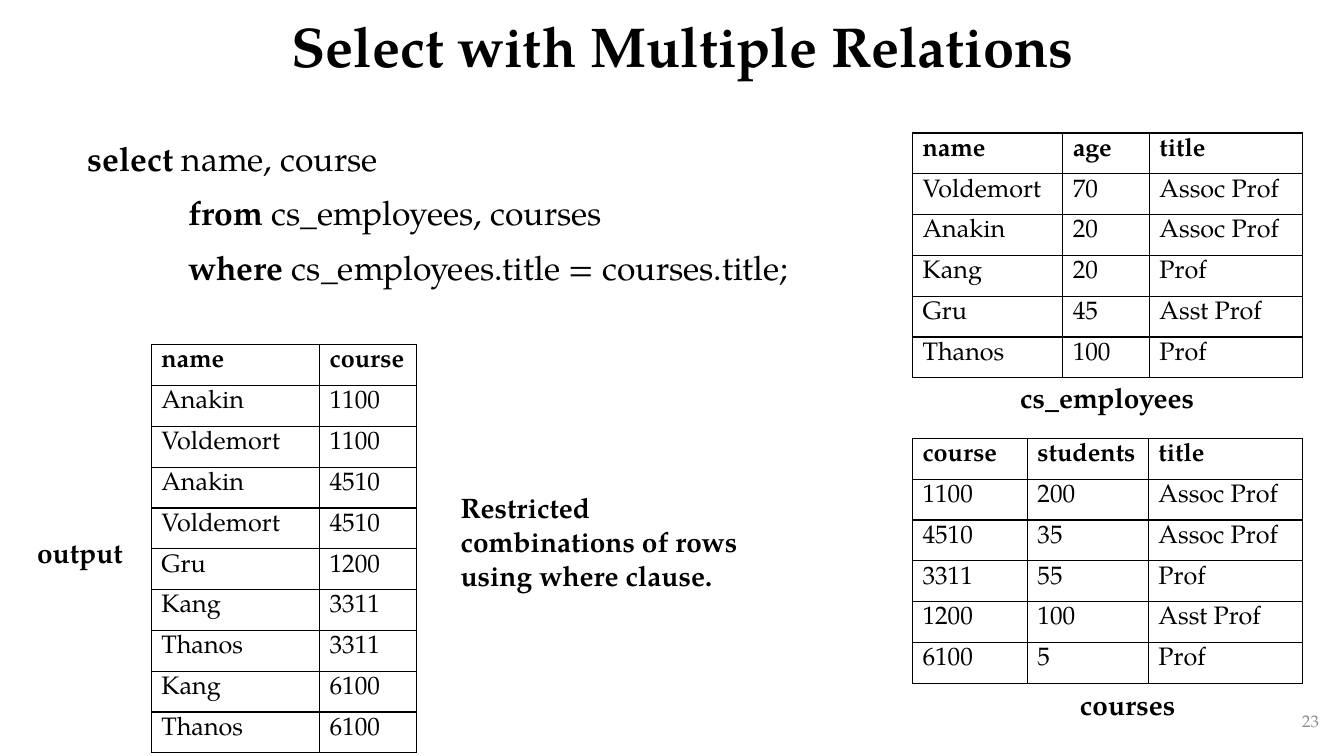
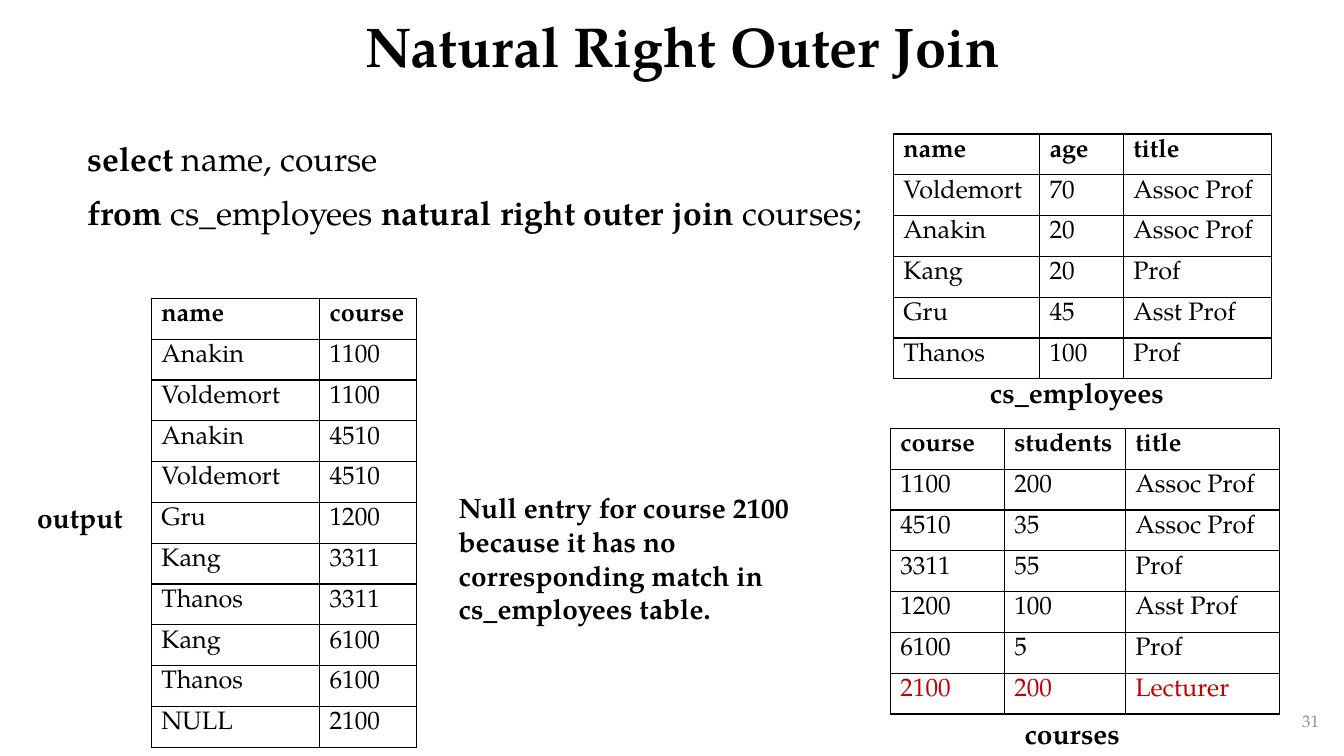
import pptx
import pptx.dml.color
import pptx.enum.text
import pptx.oxml
import pptx.oxml.ns
import pptx.util

Inches = pptx.util.Inches
Pt = pptx.util.Pt
ALIGN = pptx.enum.text.PP_ALIGN
ANCHOR = pptx.enum.text.MSO_ANCHOR

FONT = "TeX Gyre Pagella"
BLACK = pptx.dml.color.RGBColor(0x00, 0x00, 0x00)
GRAY = pptx.dml.color.RGBColor(0x8C, 0x8C, 0x8C)
RED = pptx.dml.color.RGBColor(0xC0, 0x00, 0x00)
ROW_HEIGHT = Inches(2.43) // 6
LABEL_HEIGHT = 0.44

EMPLOYEES = [
    ("name", "age", "title"),
    ("Voldemort", "70", "Assoc Prof"),
    ("Anakin", "20", "Assoc Prof"),
    ("Kang", "20", "Prof"),
    ("Gru", "45", "Asst Prof"),
    ("Thanos", "100", "Prof"),
]
COURSES = [
    ("course", "students", "title"),
    ("1100", "200", "Assoc Prof"),
    ("4510", "35", "Assoc Prof"),
    ("3311", "55", "Prof"),
    ("1200", "100", "Asst Prof"),
    ("6100", "5", "Prof"),
]
UNMATCHED_COURSE = ("2100", "200", "Lecturer")
OUTPUT = [
    ("name", "course"),
    ("Anakin", "1100"),
    ("Voldemort", "1100"),
    ("Anakin", "4510"),
    ("Voldemort", "4510"),
    ("Gru", "1200"),
    ("Kang", "3311"),
    ("Thanos", "3311"),
    ("Kang", "6100"),
    ("Thanos", "6100"),
]

# Query lines: (indent, [(text, bold), ...])
SELECT_LINE = (0, [("select", True), (" name, course", False)])

# Tables: (left, top, column widths, rows); labels: (left, top, width, text, alignment)
SLIDES = [
    {
        "title": "Select with Multiple Relations",
        "number": "23",
        "query": [
            SELECT_LINE,
            (1, [("from ", True), ("cs_employees, courses", False)]),
            (1, [("where ", True), ("cs_employees.title = courses.title;", False)]),
        ],
        "query_width": 10.11,
        "tables": [
            (9.05, 1.32, (1.49, 0.86, 1.52), EMPLOYEES),
            (9.05, 4.35, (1.14, 1.2, 1.53), COURSES),
            (1.5, 3.42, (1.67, 0.96), OUTPUT),
        ],
        "labels": [
            (10.02, 3.73, 2.01, "cs_employees", ALIGN.LEFT),
            (10.18, 6.77, 2.01, "courses", ALIGN.CENTER),
            (0.27, 5.26, 1.21, "output", ALIGN.LEFT),
            (4.47, 4.82, 3.27, "Restricted combinations of rows using where clause.", ALIGN.LEFT),
        ],
    },
    {
        "title": "Natural Right Outer Join",
        "number": "31",
        "query": [
            SELECT_LINE,
            (0, [("from ", True), ("cs_employees ", False),
                 ("natural right outer join", True), (" courses;", False)]),
        ],
        "query_width": 12.25,
        "tables": [
            (8.86, 1.33, (1.45, 0.83, 1.47), EMPLOYEES),
            (8.83, 4.25, (1.13, 1.2, 1.53), COURSES + [UNMATCHED_COURSE]),
            (1.5, 2.96, (1.67, 0.96), OUTPUT + [("NULL", "2100")]),
        ],
        "labels": [
            (9.72, 3.68, 2.01, "cs_employees", ALIGN.LEFT),
            (9.63, 7.06, 2.01, "courses", ALIGN.CENTER),
            (0.27, 4.92, 1.21, "output", ALIGN.LEFT),
            (4.45, 4.82, 3.88, "Null entry for course 2100 because it has no "
             "corresponding match in cs_employees table.", ALIGN.LEFT),
        ],
    },
]


def style(font, size, bold=None, color=BLACK):
    font.name = FONT
    font.size = Pt(size)
    font.bold = bold
    font.color.rgb = color


def add_frame(page, left, top, width, height, anchor=ANCHOR.TOP):
    box = page.shapes.add_textbox(Inches(left), Inches(top), Inches(width), Inches(height))
    box.text_frame.word_wrap = True
    box.text_frame.vertical_anchor = anchor
    return box.text_frame


def add_text(page, place, text, size, bold=True, color=BLACK,
             alignment=ALIGN.LEFT, anchor=ANCHOR.TOP):
    para = add_frame(page, *place, anchor).paragraphs[0]
    para.text = text
    para.alignment = alignment
    style(para.font, size, bold, color)
    return para


def add_query(page, lines, width):
    frame = add_frame(page, 0.77, 1.32, width, 5.58)
    for index, (indent, spans) in enumerate(lines):
        para = frame.add_paragraph() if index else frame.paragraphs[0]
        para.alignment = ALIGN.JUSTIFY
        para.space_before = Pt(10 if index else 0)
        if indent:
            properties = para._p.get_or_add_pPr()
            properties.set("marL", str(Inches(indent)))
            properties.set("indent", "0")
        style(para.font, 24)
        for text, bold in spans:
            span = para.add_run()
            span.text = text
            span.font.bold = bold


def add_borders(cell):
    namespace = pptx.oxml.ns.nsdecls("a")
    properties = cell._tc.get_or_add_tcPr()
    for side in ("lnL", "lnR", "lnT", "lnB"):
        properties.append(pptx.oxml.parse_xml(
            f'<a:{side} {namespace} w="{Pt(1)}"><a:solidFill>'
            f'<a:srgbClr val="{BLACK}"/></a:solidFill></a:{side}>'))


def add_relation(page, left, top, widths, rows):
    """Draw a bordered table with a bold header; the unmatched course is red."""
    table = page.shapes.add_table(
        len(rows), len(widths), Inches(left), Inches(top),
        Inches(sum(widths)), ROW_HEIGHT * len(rows)).table
    table.first_row = table.horz_banding = False
    for column, width in zip(table.columns, widths):
        column.width = Inches(width)
    for row_index, values in enumerate(rows):
        table.rows[row_index].height = ROW_HEIGHT
        color = RED if values == UNMATCHED_COURSE else BLACK
        for column_index, value in enumerate(values):
            cell = table.cell(row_index, column_index)
            add_borders(cell)
            cell.fill.background()
            cell.text = value
            style(cell.text_frame.paragraphs[0].font, 18, row_index == 0, color)


def add_page(deck, content):
    page = deck.slides.add_slide(deck.slide_layouts[6])
    title = add_text(page, (1.02, 0, 11.5, 0.98), content["title"], 40,
                     alignment=ALIGN.CENTER, anchor=ANCHOR.MIDDLE)
    title.line_spacing = 0.9
    add_query(page, content["query"], content["query_width"])
    add_text(page, (10.18, 6.95, 3, 0.4), content["number"], 12, bold=False, color=GRAY,
             alignment=ALIGN.RIGHT, anchor=ANCHOR.MIDDLE)
    for relation in content["tables"]:
        add_relation(page, *relation)
    for left, top, width, text, alignment in content["labels"]:
        add_text(page, (left, top, width, LABEL_HEIGHT), text, 20, alignment=alignment)


def main():
    deck = pptx.Presentation()
    deck.slide_width = Inches(13.33)
    deck.slide_height = Inches(7.5)
    for content in SLIDES:
        add_page(deck, content)
    deck.save("out.pptx")


if __name__ == "__main__":
    main()
